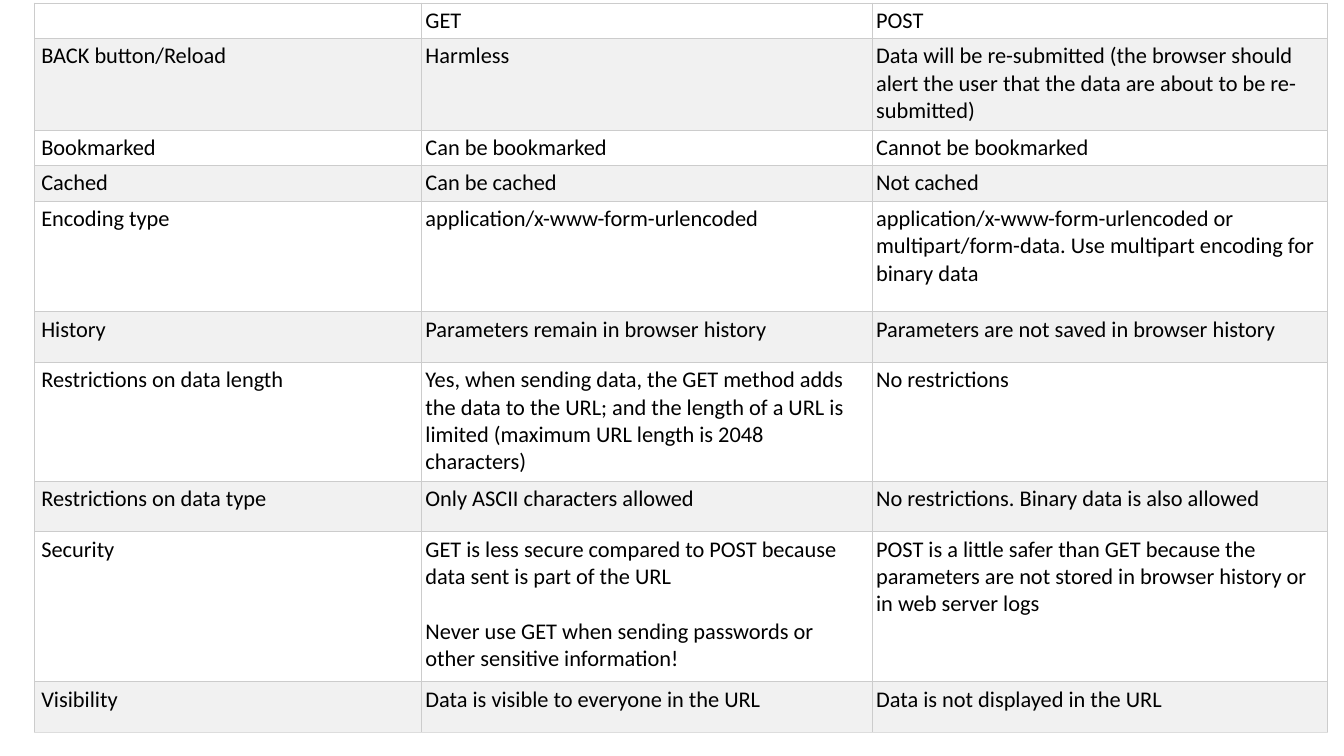
from dataclasses import dataclass

from lxml.etree import SubElement
from pptx import Presentation
from pptx.dml.color import RGBColor
from pptx.oxml.ns import qn
from pptx.util import Inches, Pt


@dataclass(frozen=True)
class Theme:
    """Colours, type and line sizes of the slide."""

    font: str = "Calibri"
    size: int = 16
    paragraph_gap: float = 19.5
    text: str = "000000"
    bands: tuple = ("FFFFFF", "F1F1F1")
    border: str = "CCCCCC"
    last_border: str = "DDDDDD"
    border_width: float = 0.75
    margin: float = 0.04
    label_margin: float = 0.07


THEME = Theme()
SLIDE_WIDTH, SLIDE_HEIGHT = 13.33, 7.5
TABLE_BOX = (0.34, 0.03, 12.83, 7.23)
COLUMN_WEIGHTS = (3.84, 4.47, 4.52)
COMPARISON = [
    (0.35, "", "GET", "POST"),
    (0.91, "BACK button/Reload", "Harmless",
     "Data will be re-submitted (the browser should alert the user that "
     "the data are about to be re-submitted)"),
    (0.35, "Bookmarked", "Can be bookmarked", "Cannot be bookmarked"),
    (0.35, "Cached", "Can be cached", "Not cached"),
    (1.1, "Encoding type", "application/x-www-form-urlencoded",
     "application/x-www-form-urlencoded or multipart/form-data. "
     "Use multipart encoding for binary data"),
    (0.5, "History", "Parameters remain in browser history",
     "Parameters are not saved in browser history"),
    (1.18, "Restrictions on data length",
     "Yes, when sending data, the GET method adds the data to the URL; and "
     "the length of a URL is limited (maximum URL length is 2048 characters)",
     "No restrictions"),
    (0.5, "Restrictions on data type", "Only ASCII characters allowed",
     "No restrictions. Binary data is also allowed"),
    (1.49, "Security",
     "GET is less secure compared to POST because data sent is part of the URL\n"
     "Never use GET when sending passwords or other sensitive information!",
     "POST is a little safer than GET because the parameters are not stored "
     "in browser history or in web server logs"),
    (0.5, "Visibility", "Data is visible to everyone in the URL",
     "Data is not displayed in the URL"),
]


def shares(total, weights):
    """Divide a length in proportion to the weights."""
    return [Inches(total * weight / sum(weights)) for weight in weights]


def draw_borders(cell, bottom_color):
    """Rule all four sides of a cell."""
    properties = cell._tc.get_or_add_tcPr()
    colors = {"a:lnL": THEME.border, "a:lnR": THEME.border,
              "a:lnT": THEME.border, "a:lnB": bottom_color}
    for position, (side, color) in enumerate(colors.items()):
        line = properties.makeelement(qn(side), {"w": str(Pt(THEME.border_width))})
        fill = SubElement(line, qn("a:solidFill"))
        SubElement(fill, qn("a:srgbClr"), val=color)
        properties.insert(position, line)


def write_cell(cell, text):
    """Set the paragraphs of a cell in the table type."""
    cell.text_frame.text = text
    for index, paragraph in enumerate(cell.text_frame.paragraphs):
        if index:
            paragraph.space_before = Pt(THEME.paragraph_gap)
        for run in paragraph.runs:
            formats = {"name": THEME.font, "size": Pt(THEME.size), "bold": False}
            for name, value in formats.items():
                setattr(run.font, name, value)
            run.font.color.rgb = RGBColor.from_string(THEME.text)
        if not paragraph.runs:
            SubElement(paragraph._p, qn("a:endParaRPr"), sz=str(THEME.size * 100))


def style_cell(cell, row, column, is_last):
    """Set the margins, band and borders of a cell."""
    left = THEME.margin if column else THEME.label_margin
    margins = {"margin_left": left, "margin_right": THEME.margin,
               "margin_top": THEME.margin, "margin_bottom": THEME.margin}
    for name, value in margins.items():
        setattr(cell, name, Inches(value))
    cell.fill.solid()
    cell.fill.fore_color.rgb = RGBColor.from_string(THEME.bands[row % 2])
    draw_borders(cell, THEME.last_border if is_last else THEME.border)


def add_comparison(slide, box):
    """Place the GET and POST comparison table in a box."""
    table = slide.shapes.add_table(
        len(COMPARISON), len(COLUMN_WEIGHTS), *map(Inches, box)).table
    table.first_row = False
    table.horz_banding = False
    for column, width in zip(table.columns, shares(box[2], COLUMN_WEIGHTS)):
        column.width = width
    row_weights = [weight for weight, *_ in COMPARISON]
    for row, height in zip(table.rows, shares(box[3], row_weights)):
        row.height = height
    for row, (_, *texts) in enumerate(COMPARISON):
        for column, text in enumerate(texts):
            cell = table.cell(row, column)
            write_cell(cell, text)
            style_cell(cell, row, column, row == len(COMPARISON) - 1)


def main():
    """Build and save the presentation."""
    presentation = Presentation()
    presentation.slide_width = Inches(SLIDE_WIDTH)
    presentation.slide_height = Inches(SLIDE_HEIGHT)
    slide = presentation.slides.add_slide(presentation.slide_layouts[6])
    add_comparison(slide, TABLE_BOX)
    presentation.save("out.pptx")


if __name__ == "__main__":
    main()
